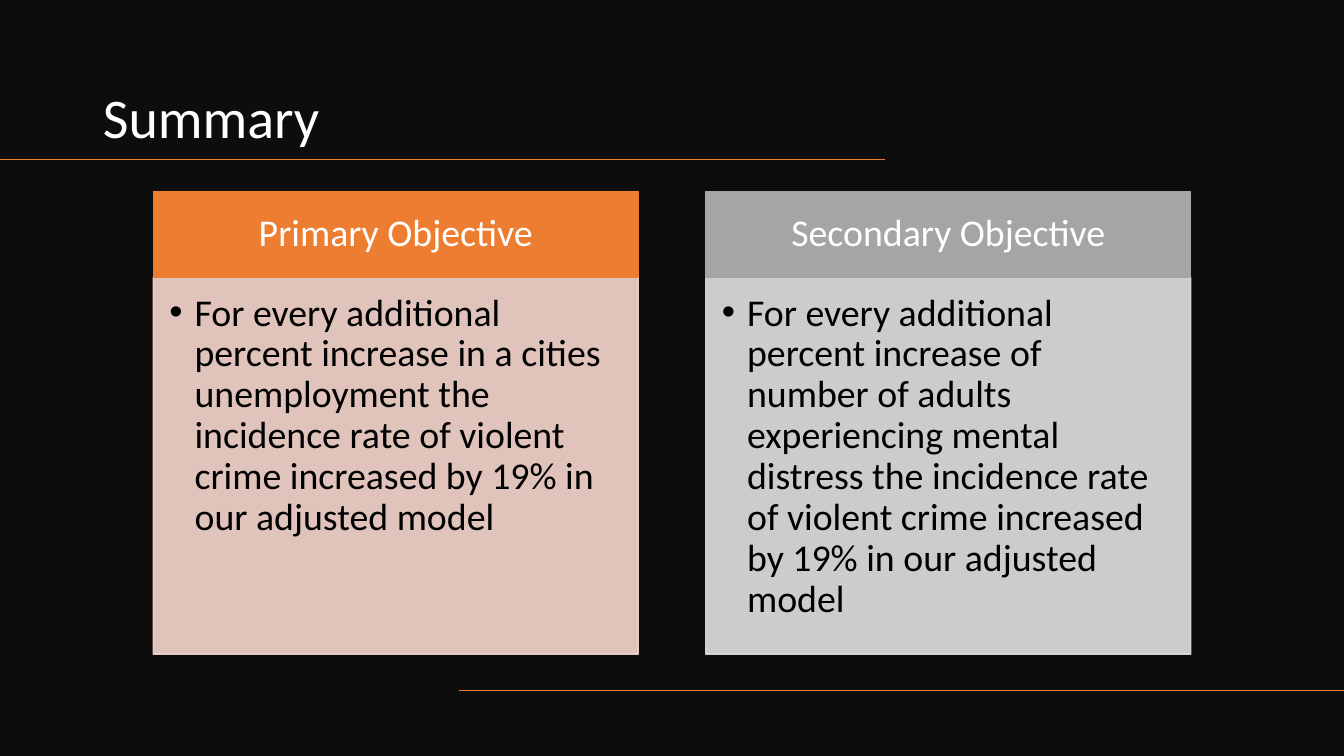
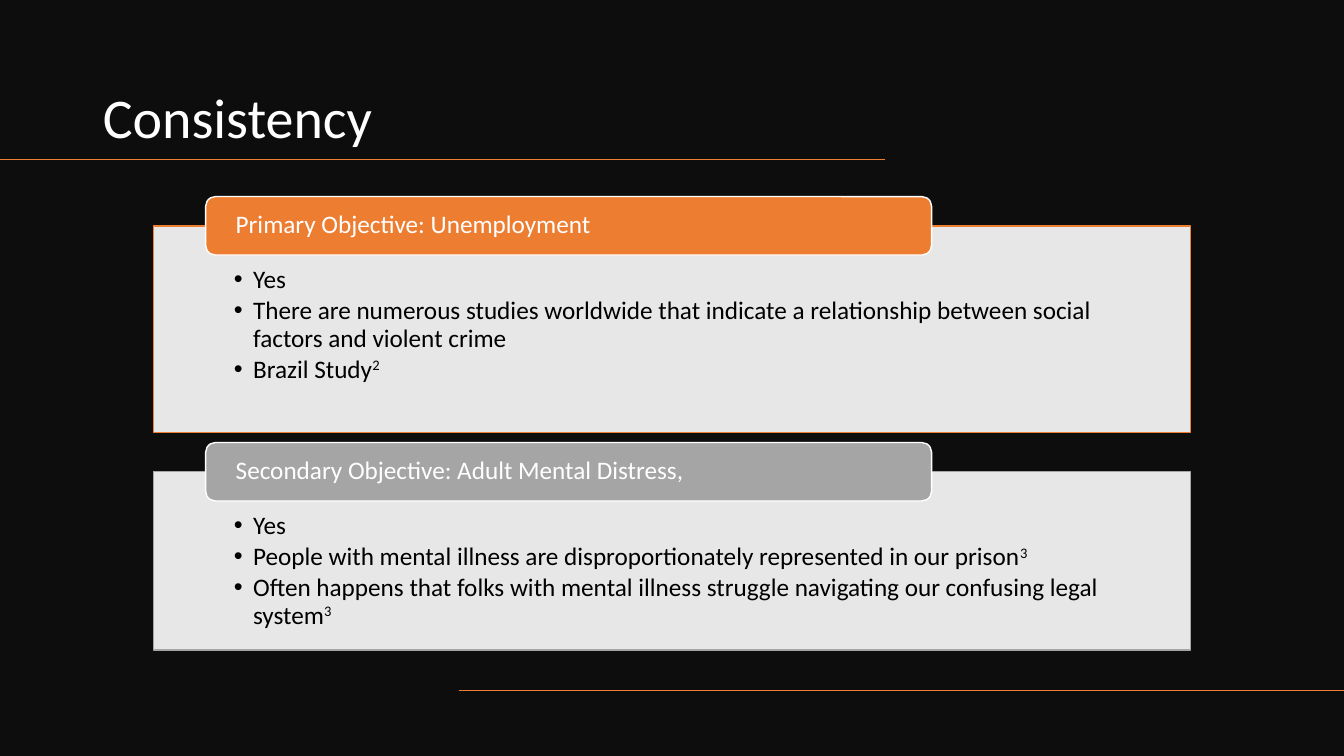
from lxml import etree
from pptx import Presentation
from pptx.dml.color import RGBColor
from pptx.enum.shapes import MSO_CONNECTOR, MSO_SHAPE
from pptx.enum.text import MSO_ANCHOR, MSO_AUTO_SIZE, PP_ALIGN
from pptx.oxml.ns import qn
from pptx.util import Inches, Pt

RECTANGLE, ROUNDED = MSO_SHAPE.RECTANGLE, MSO_SHAPE.ROUNDED_RECTANGLE
STRAIGHT = MSO_CONNECTOR.STRAIGHT
TOP, MIDDLE, BOTTOM = MSO_ANCHOR.TOP, MSO_ANCHOR.MIDDLE, MSO_ANCHOR.BOTTOM
LEFT, CENTER = PP_ALIGN.LEFT, PP_ALIGN.CENTER
NO_AUTOFIT = MSO_AUTO_SIZE.NONE

FONT = "Calibri"
BLACK, WHITE, DARK = "000000", "FFFFFF", "0D0D0D"
ORANGE, GRAY = "ED7D31", "A5A5A5"
PALE_ORANGE, PALE_GRAY = "F8D7CE", "E1E1E1"
WIDTH, HEIGHT = 13.33, 7.5
TWO_CONTENT_LAYOUT = 3
PANEL_OPACITY = 90
CONTENT_LEFT, CONTENT_WIDTH = 1.52, 10.29


def rgb(color):
    return RGBColor.from_string(color)


def set_opacity(color_format_parent, percent):
    """Add an alpha value to the solid colour inside a fill or line element."""
    color = color_format_parent.find(".//" + qn("a:solidFill"))[0]
    etree.SubElement(color, qn("a:alpha")).set("val", str(percent * 1000))


def write_text(frame, paragraphs, size=18, color=WHITE, align=LEFT, anchor=TOP,
               insets=(0.1, 0.05, 0.1, 0.05), indent=0, space_after=0):
    """Fill a frame; a paragraph is a string or a (text, superscript) pair."""
    frame.word_wrap = True
    frame.auto_size = NO_AUTOFIT
    frame.vertical_anchor = anchor
    (frame.margin_left, frame.margin_top,
     frame.margin_right, frame.margin_bottom) = map(Inches, insets)
    for index, content in enumerate(paragraphs):
        para = frame.add_paragraph() if index else frame.paragraphs[0]
        para.alignment = align
        para.line_spacing = 0.9
        para.space_before = Pt(0)
        para.space_after = Pt(size * space_after)
        if indent:
            properties = para._p.get_or_add_pPr()
            properties.set("marL", str(Inches(indent)))
            properties.set("indent", str(-Inches(indent)))
        parts = (content,) if isinstance(content, str) else content
        for position, text in enumerate(parts):
            span = para.add_run()
            span.text = text
            span.font.name = FONT
            span.font.size = Pt(size)
            span.font.color.rgb = rgb(color)
            if position:
                span._r.get_or_add_rPr().set("baseline", "30000")


class Deck:
    """Holds the shared style and the current page."""

    def __init__(self):
        self.deck = Presentation()
        self.deck.slide_width = Inches(WIDTH)
        self.deck.slide_height = Inches(HEIGHT)
        background = self.deck.slide_master.background.fill
        background.solid()
        background.fore_color.rgb = rgb(DARK)
        self.page = None

    def add_page(self, title):
        layout = self.deck.slide_layouts[TWO_CONTENT_LAYOUT]
        self.page = self.deck.slides.add_slide(layout)
        box = self.page.shapes.title
        self.place(box, 0.92, 0.42, 7.86, 1.12)
        write_text(box.text_frame, [title], size=40, anchor=BOTTOM)
        self.add_rule(0, 8.78, 1.58)
        self.add_rule(4.55, WIDTH, 6.85)

    def place(self, box, left, top, width, height):
        box.left, box.top = Inches(left), Inches(top)
        box.width, box.height = Inches(width), Inches(height)

    def paint(self, box, fill, line):
        box.fill.solid()
        box.fill.fore_color.rgb = rgb(fill)
        box.line.color.rgb = rgb(line)
        box.line.width = Pt(1)

    def add_rule(self, start, end, top):
        rule = self.page.shapes.add_connector(
            STRAIGHT, Inches(start), Inches(top), Inches(end), Inches(top))
        rule.line.color.rgb = rgb(ORANGE)
        rule.line.width = Pt(1)
        etree.SubElement(rule._element.spPr, qn("a:effectLst"))

    def add_panel(self, number, place, fill, line, items, **text_format):
        """Turn body placeholder 1 or 2 into a translucent list panel."""
        box = self.page.placeholders[number]
        self.place(box, *place)
        self.paint(box, fill, line)
        set_opacity(box._element.spPr, PANEL_OPACITY)
        if fill == line:
            set_opacity(box.line._get_or_add_ln(), PANEL_OPACITY)
        write_text(box.text_frame, items, color=BLACK, space_after=0.15,
                   **text_format)

    def add_heading(self, preset, place, fill, line, text, **text_format):
        box = self.page.shapes.add_shape(preset, *map(Inches, place))
        box.shadow.inherit = False
        self.paint(box, fill, line)
        write_text(box.text_frame, [text], anchor=MIDDLE, **text_format)

    def save(self):
        self.deck.save("out.pptx")


def build_summary(deck):
    deck.add_page("Summary")
    columns = [
        ("Primary Objective", ORANGE, PALE_ORANGE,
         "For every additional percent increase in a cities unemployment the "
         "incidence rate of violent crime increased by 19% in our adjusted model"),
        ("Secondary Objective", GRAY, PALE_GRAY,
         "For every additional percent increase of number of adults experiencing "
         "mental distress the incidence rate of violent crime increased by 19% "
         "in our adjusted model"),
    ]
    width, top, heading_height, panel_height = 4.81, 1.9, 0.85, 3.74
    step = CONTENT_WIDTH - width
    for index, (heading, strong, pale, finding) in enumerate(columns):
        left = CONTENT_LEFT + index * step
        deck.add_panel(index + 1,
                       (left, top + heading_height, width, panel_height),
                       pale, pale, [finding], size=27, indent=0.25,
                       insets=(0.16, 0.16, 0.21, 0.24))
        deck.add_heading(RECTANGLE, (left, top, width, heading_height),
                         strong, strong, heading, size=27, align=CENTER,
                         insets=(0.21, 0.12, 0.21, 0.12))


def build_consistency(deck):
    deck.add_page("Consistency")
    sections = [
        ("Primary Objective: Unemployment", ORANGE, 2.24, 2.05, [
            "Yes",
            "There are numerous studies worldwide that indicate a relationship "
            "between social factors and violent crime",
            ("Brazil Study", "2")]),
        ("Secondary Objective: Adult Mental Distress,", GRAY, 4.68, 1.77, [
            "Yes",
            ("People with mental illness are disproportionately represented "
             "in our prison", "3"),
            ("Often happens that folks with mental illness struggle navigating "
             "our confusing legal system", "3")]),
    ]
    tab_height = 0.58
    for number, (heading, color, top, height, items) in enumerate(sections, 1):
        deck.add_panel(number, (CONTENT_LEFT, top, CONTENT_WIDTH, height),
                       WHITE, color, items, indent=0.19,
                       insets=(0.8, 0.41, 0.8, 0.14))
        # The tab straddles the top edge of its panel
        deck.add_heading(ROUNDED, (2.04, top - tab_height / 2, 7.2, tab_height),
                         color, WHITE, heading, insets=(0.27, 0, 0.27, 0))


def main():
    deck = Deck()
    build_summary(deck)
    build_consistency(deck)
    deck.save()


if __name__ == "__main__":
    main()
